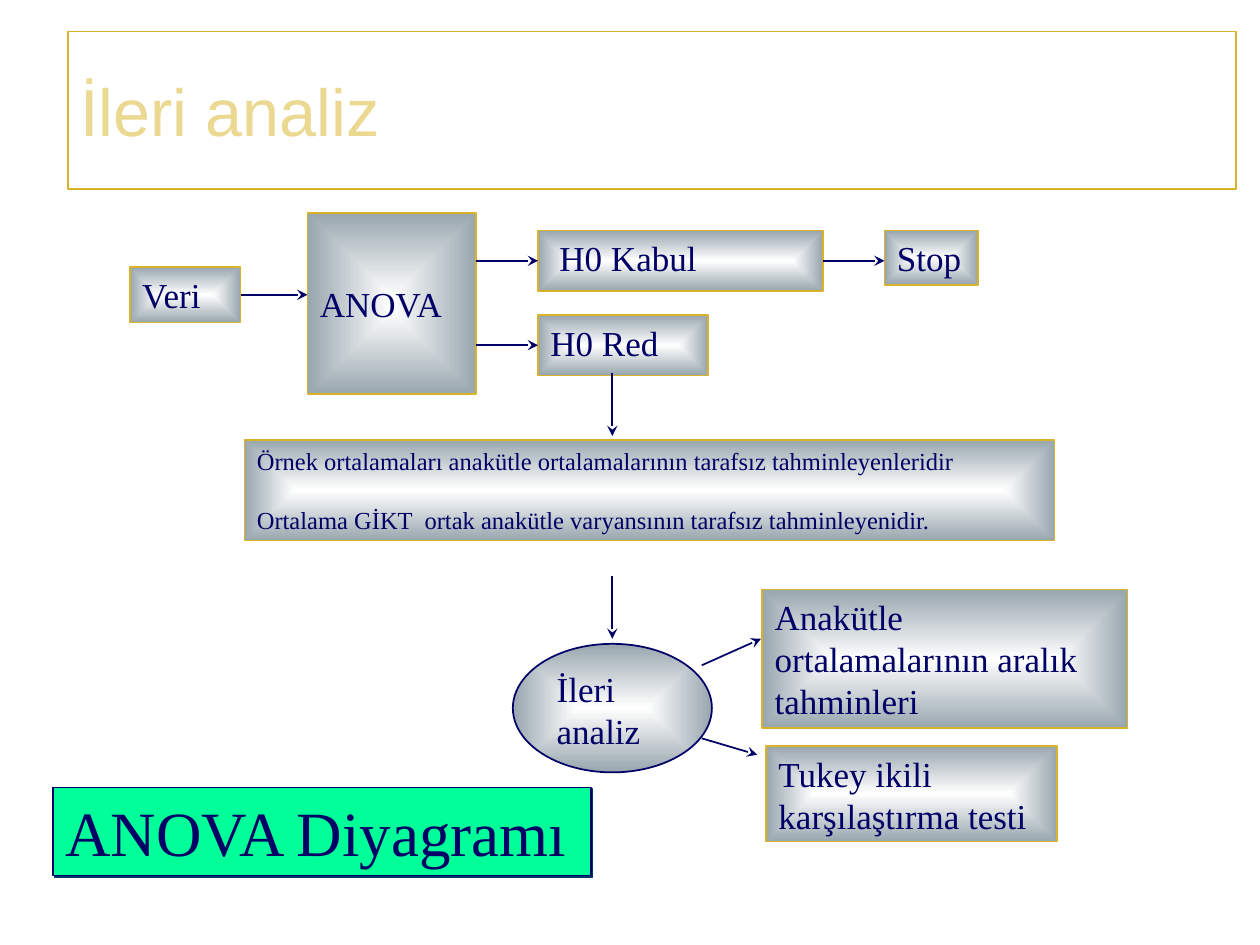
from dataclasses import dataclass

from lxml.etree import SubElement
from pptx import Presentation
from pptx.dml.color import RGBColor
from pptx.enum.shapes import MSO_CONNECTOR, MSO_SHAPE
from pptx.enum.text import MSO_ANCHOR, PP_ALIGN
from pptx.oxml.ns import qn
from pptx.util import Inches, Pt


@dataclass(frozen=True)
class Theme:
    ink: str = "000066"
    gold: str = "D8B228"
    pale_gold: str = "EBD891"
    silver: str = "98A6AE"
    white: str = "FFFFFF"
    green: str = "00FF99"
    shadow: str = "003366"
    serif: str = "Times New Roman"
    sans: str = "Arial"
    note: int = 14
    body: int = 20
    caption: int = 36
    title: int = 38


def color(value):
    return RGBColor.from_string(value)


class DiagramPage:
    def __init__(self, deck, theme):
        self.theme = theme
        self.page = deck.slides.add_slide(deck.slide_layouts[6])

    def add_text(self, box, lines, size=None, font=None, ink=None, gap=0,
                 anchor=MSO_ANCHOR.TOP, wrap=True, indent=0.1):
        frame = box.text_frame
        layout = {
            "word_wrap": wrap,
            "vertical_anchor": anchor,
            "margin_left": Inches(indent),
            "margin_right": Inches(0.1),
            "margin_top": Inches(0.05),
            "margin_bottom": Inches(0.05),
        }
        for name, value in layout.items():
            setattr(frame, name, value)
        style = {"size": Pt(size or self.theme.body), "name": font or self.theme.serif}
        for index, line in enumerate(lines):
            para = frame.add_paragraph() if index else frame.paragraphs[0]
            para.alignment = PP_ALIGN.LEFT
            para.space_before = Pt(gap if index else 0)
            span = para.add_run()
            span.text = line
            for name, value in style.items():
                setattr(span.font, name, value)
            span.font.color.rgb = color(ink or self.theme.ink)

    def outline(self, place, line, kind=MSO_SHAPE.RECTANGLE, width=1):
        box = self.page.shapes.add_shape(kind, *map(Inches, place))
        box.shadow.inherit = False
        box.fill.background()
        box.line.color.rgb = color(line)
        box.line.width = Pt(width)
        return box

    def metal(self, box):
        box.fill.gradient()
        stops = zip(box.fill.gradient_stops, (0, 1), (self.theme.white, self.theme.silver))
        for stop, position, tone in stops:
            stop.position = position
            stop.color.rgb = color(tone)
        gradient = box._element.spPr.find(qn("a:gradFill"))
        gradient.remove(gradient.find(qn("a:lin")))
        center = SubElement(SubElement(gradient, qn("a:path"), {"path": "rect"}),
                            qn("a:fillToRect"))
        for side in "ltrb":
            center.set(side, "50000")

    def step(self, place, *lines, **style):
        box = self.outline(place, self.theme.gold)
        self.metal(box)
        self.add_text(box, lines, **style)
        return box

    def oval(self, place):
        self.metal(self.outline(place, self.theme.ink, MSO_SHAPE.OVAL))

    def label(self, place, line):
        self.add_text(self.page.shapes.add_textbox(*map(Inches, place)), [line])

    def arrow(self, start, end, source=None, target=None):
        link = self.page.shapes.add_connector(
            MSO_CONNECTOR.STRAIGHT, *map(Inches, (*start, *end)))
        if source:
            link.begin_connect(source, 3)
        if target:
            link.end_connect(target, 1)
        link.line.color.rgb = color(self.theme.ink)
        link.line.width = Pt(1)
        properties = link._element.spPr
        SubElement(properties.find(qn("a:ln")), qn("a:tailEnd"), {"type": "stealth"})
        SubElement(properties, qn("a:effectLst"))

    def caption(self, place, line):
        box = self.outline(place, self.theme.ink)
        box.fill.solid()
        box.fill.fore_color.rgb = color(self.theme.green)
        effects = box._element.spPr.find(qn("a:effectLst"))
        shadow = SubElement(effects, qn("a:outerShdw"), {
            "dist": str(Pt(1.4)), "dir": "2700000", "algn": "ctr", "rotWithShape": "0"})
        SubElement(shadow, qn("a:srgbClr"), {"val": self.theme.shadow})
        self.add_text(box, [line], size=self.theme.caption, wrap=False)

    def title(self, place, line):
        box = self.outline(place, self.theme.gold, width=0.75)
        self.add_text(box, [line], size=self.theme.title, font=self.theme.sans,
                      ink=self.theme.pale_gold, anchor=MSO_ANCHOR.MIDDLE)


def main():
    deck = Presentation()
    deck.slide_width, deck.slide_height = Inches(10), Inches(7.5)
    theme = Theme()
    diagram = DiagramPage(deck, theme)

    diagram.title((0.54, 0.25, 9.27, 1.25), "İleri analiz")

    data = diagram.step((1.03, 2.12, 0.88, 0.44), "Veri")
    diagram.step((2.44, 1.69, 1.34, 1.44), "ANOVA", anchor=MSO_ANCHOR.MIDDLE)
    accepted = diagram.step((4.27, 1.83, 2.26, 0.48), "H0 Kabul", indent=0.17)
    rejected = diagram.step((4.27, 2.5, 1.35, 0.48), "H0 Red")
    diagram.step((7.02, 1.83, 0.74, 0.43), "Stop")
    diagram.step(
        (1.94, 3.49, 6.43, 0.8),
        "Örnek ortalamaları anakütle ortalamalarının tarafsız tahminleyenleridir",
        "Ortalama GİKT  ortak anakütle varyansının tarafsız tahminleyenidir.",
        size=theme.note, gap=17)
    diagram.oval((4.07, 5.11, 1.58, 1.02))
    diagram.label((4.32, 5.25, 1.34, 0.76), "İleri analiz")
    diagram.step((6.05, 4.68, 2.9, 1.1), "Anakütle ortalamalarının aralık tahminleri")
    diagram.step((6.08, 5.92, 2.31, 0.76), "Tukey ikili karşılaştırma testi")

    diagram.arrow((1.91, 2.34), (2.44, 2.34), source=data)
    diagram.arrow((3.78, 2.07), (4.27, 2.07), target=accepted)
    diagram.arrow((3.78, 2.74), (4.27, 2.74), target=rejected)
    diagram.arrow((6.53, 2.07), (7.02, 2.07), source=accepted)
    for top in (2.96, 4.57):
        diagram.arrow((4.86, top), (4.86, top + 0.5))
    diagram.arrow((5.57, 5.28), (6.04, 5.07))
    diagram.arrow((5.57, 5.86), (6.01, 5.99))

    diagram.caption((0.42, 6.25, 4.27, 0.7), "ANOVA Diyagramı")
    deck.save("out.pptx")


if __name__ == "__main__":
    main()
